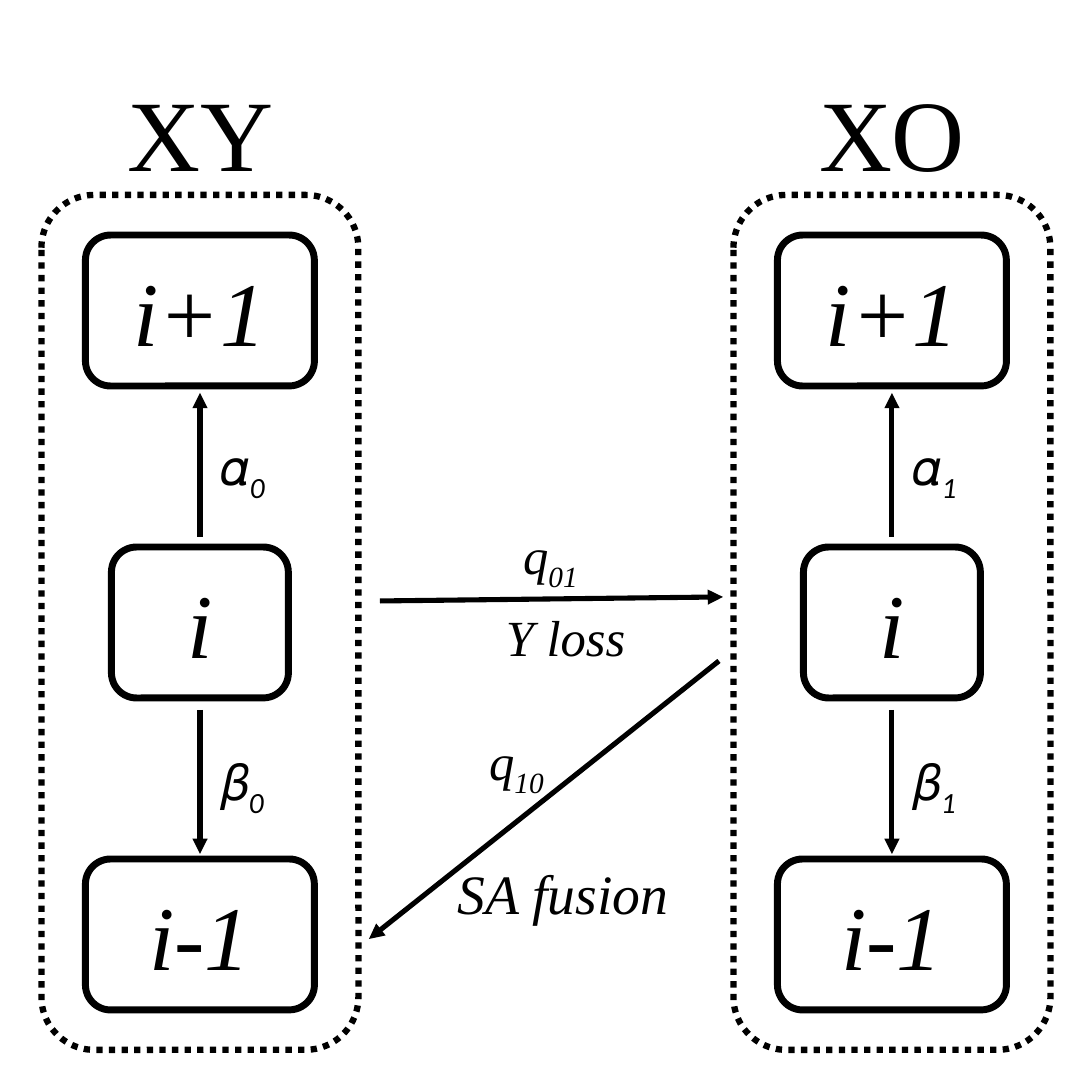
from pptx import Presentation
from pptx.dml.color import RGBColor
from pptx.enum.dml import MSO_LINE
from pptx.enum.shapes import MSO_CONNECTOR, MSO_SHAPE
from pptx.enum.text import MSO_ANCHOR, PP_ALIGN
from pptx.oxml.ns import qn
from pptx.util import Emu, Pt
from lxml import etree

ROUND = MSO_SHAPE.ROUNDED_RECTANGLE
STRAIGHT = MSO_CONNECTOR.STRAIGHT
DOTS = MSO_LINE.ROUND_DOT
MIDDLE = MSO_ANCHOR.MIDDLE
LEFT, CENTER = PP_ALIGN.LEFT, PP_ALIGN.CENTER

COLORS = {"ink": "000000", "paper": "FFFFFF"}
SERIF, SANS = "Times New Roman", "Calibri"

SIDE = 1092  # px, 182 to the inch
SCALE = 914400 / 182

# title, centre x, subscript of the rates
COLUMNS = [("XY", 200, "0"), ("XO", 892, "1")]
# text, width
STATES = [("i+1", 229), ("i", 177), ("i-1", 229)]
STATE_TOP, STATE_STEP, STATE_H = 235, 312, 151
FRAME_TOP, FRAME_W, FRAME_H = 195, 317, 855
# symbol, label top, arrow start y, arrow end y
RATES = [("𝛼", 426, 537, 393), ("𝛽", 741, 710, 854)]
# start x, start y, end x, end y
SHIFTS = [(380, 601, 723, 597), (719, 661, 369, 939)]
# text, subscript, left, top, width, height, size, alignment
NOTES = [
    ("q", "01", 493, 515, 115, 80, 20, CENTER),
    ("Y loss", "", 488, 597, 228, 80, 20, LEFT),
    ("q", "10", 459, 721, 115, 80, 20, CENTER),
    ("SA fusion", "", 440, 850, 329, 86, 22, LEFT),
]


def px(*values):
    return [Emu(round(v * SCALE)) for v in values]


def ink(name):
    return RGBColor.from_string(COLORS[name])


def style(run, size, font, italic):
    run.font.size = Pt(size)
    run.font.name = font
    run.font.italic = italic
    run.font.color.rgb = ink("ink")


def box(x, y, w, h, weight):
    shape = slide.shapes.add_shape(ROUND, *px(x, y, w, h))
    shape.shadow.inherit = False
    shape.fill.solid()
    shape.fill.fore_color.rgb = ink("paper")
    shape.line.color.rgb = ink("ink")
    shape.line.width = Pt(weight)
    return shape


def arrow(x1, y1, x2, y2):
    line = slide.shapes.add_connector(STRAIGHT, *px(x1, y1, x2, y2))
    line.line.color.rgb = ink("ink")
    line.line.width = Pt(2)
    etree.SubElement(line.line._get_or_add_ln(), qn("a:tailEnd"), type="triangle")
    etree.SubElement(line._element.spPr, qn("a:effectLst"))


def label(text, sub, x, y, w, h, size, align, font=SERIF, italic=True):
    """Add a text box, with an italic subscript if sub is given."""
    frame = slide.shapes.add_textbox(*px(x, y, w, h)).text_frame
    frame.word_wrap = True
    para = frame.paragraphs[0]
    para.text = text
    para.alignment = align
    style(para.runs[0], size, font, italic)
    if sub:
        run = para.add_run()
        run.text = sub
        style(run, size, font, True)
        run.font._element.set("baseline", "-25000")


def column(title, mid, sub):
    frame = box(mid - FRAME_W / 2, FRAME_TOP, FRAME_W, FRAME_H, 2.5)
    frame.line.dash_style = DOTS
    label(title, "", mid - 99, 62, 198, 140, 40, CENTER, italic=False)
    for row, (text, w) in enumerate(STATES):
        top = STATE_TOP + row * STATE_STEP
        state = box(mid - w / 2, top, w, STATE_H, 2.75)
        state.text_frame.text = text
        state.text_frame.vertical_anchor = MIDDLE
        para = state.text_frame.paragraphs[0]
        para.alignment = CENTER
        style(para.runs[0], 36, SERIF, True)
    for sign, top, start, end in RATES:
        arrow(mid, start, mid, end)
        label(sign, sub, mid - 15, top, 115, 80, 20, CENTER, SANS, False)


prs = Presentation()
prs.slide_width, prs.slide_height = px(SIDE, SIDE)
slide = prs.slides.add_slide(prs.slide_layouts[6])

for item in COLUMNS:
    column(*item)
for ends in SHIFTS:
    arrow(*ends)
for note in NOTES:
    label(*note)

prs.save("out.pptx")
